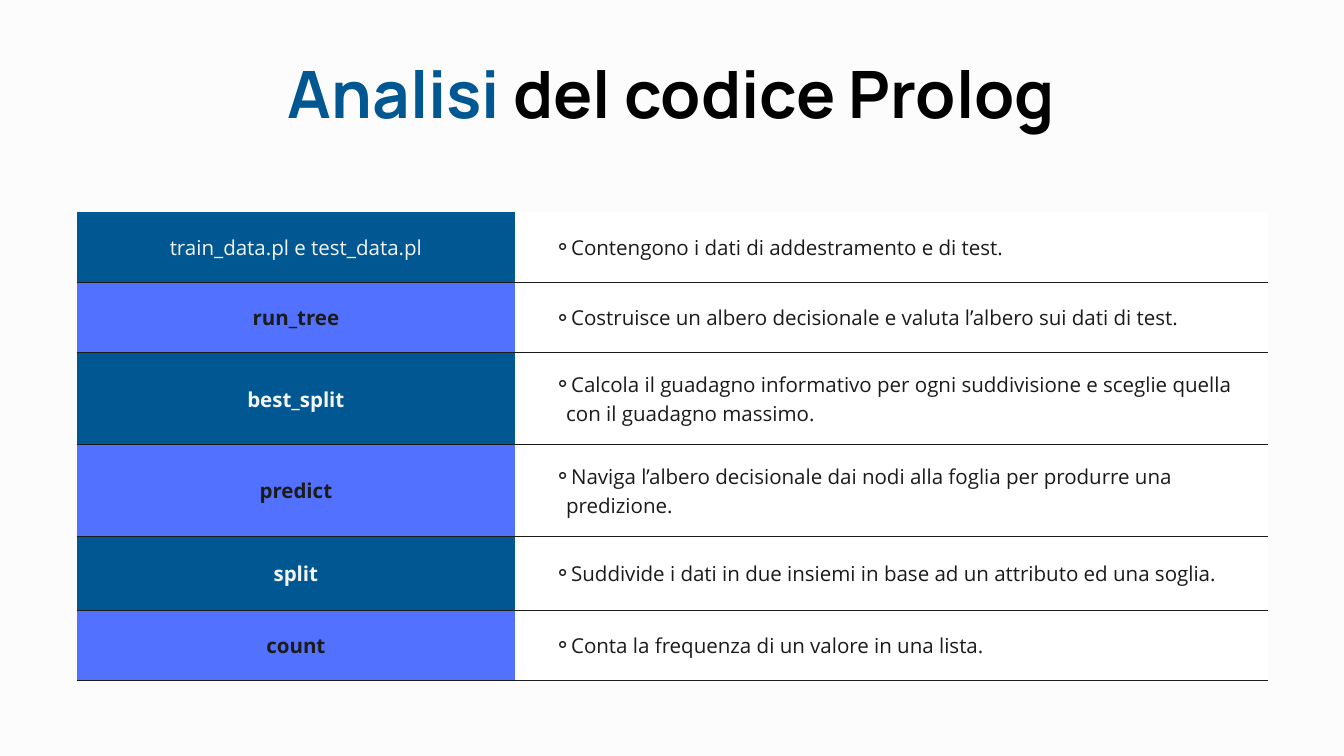
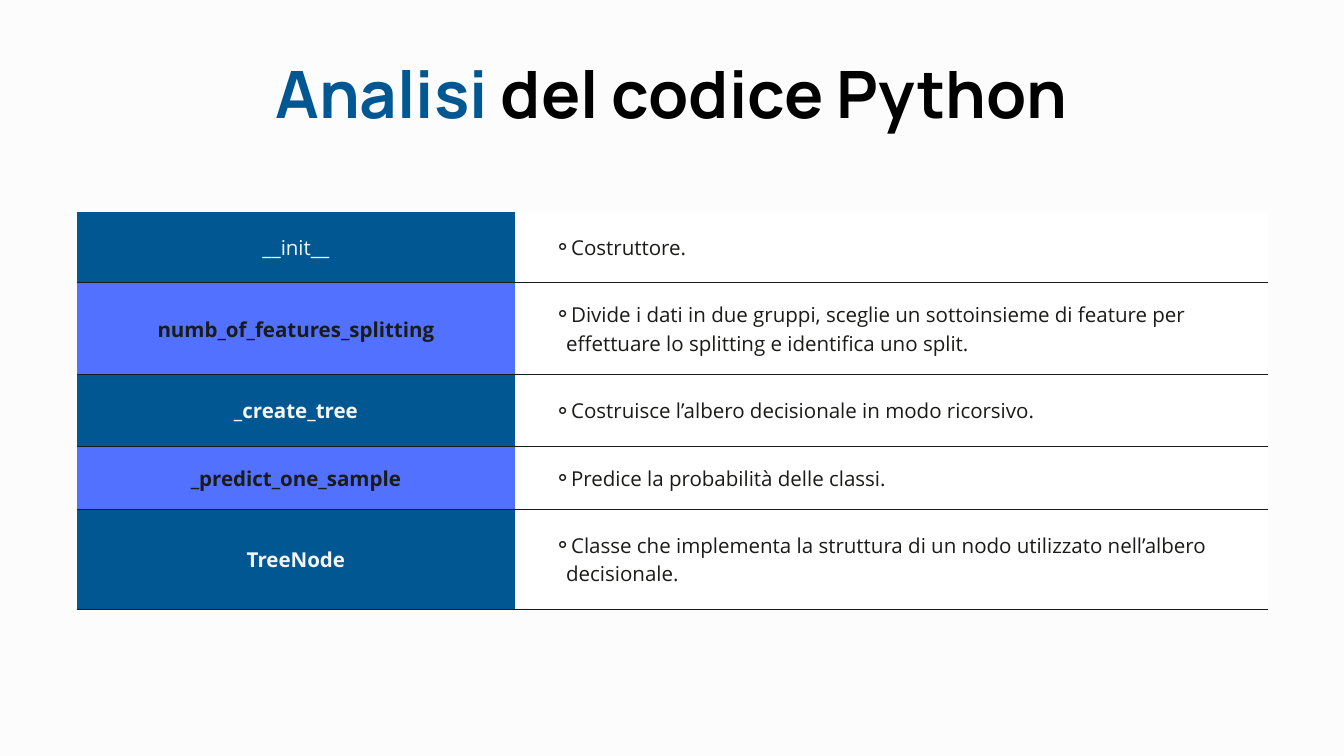
from lxml import etree
from pptx import Presentation
from pptx.dml.color import RGBColor
from pptx.enum import text
from pptx.oxml.ns import qn
from pptx.util import Pt

PAPER = RGBColor(0xFD, 0xFC, 0xFC)
WHITE = RGBColor(0xFF, 0xFF, 0xFF)
BLACK = RGBColor(0, 0, 0)
INK = RGBColor(0x1B, 0x1B, 0x19)
LIGHT = RGBColor(0xF4, 0xF4, 0xF4)
NAVY = RGBColor(0x00, 0x57, 0x92)
VIOLET = RGBColor(0x52, 0x71, 0xFF)
EDGE = RGBColor(0xCC, 0xCC, 0xCC)

TITLE_FONT = {"name": "Manrope", "size": Pt(70), "bold": True}
BODY_FONT = {"name": "Open Sans", "size": Pt(22)}
NAME_COLUMNS = [(NAVY, LIGHT), (VIOLET, INK)]
COLUMN_WIDTHS = (470, 807)
CELL_FORMAT = {
    "margin_left": Pt(15), "margin_top": Pt(15),
    "margin_right": Pt(15), "margin_bottom": Pt(15),
    "vertical_anchor": text.MSO_ANCHOR.MIDDLE,
}
FRAME_FORMAT = {
    "margin_left": 0, "margin_top": 0, "margin_right": 0, "margin_bottom": 0,
    "word_wrap": True, "auto_size": text.MSO_AUTO_SIZE.SHAPE_TO_FIT_TEXT,
}

PROLOG_ROWS = [
    (75.5, "train_data.pl e test_data.pl", "Contengono i dati di addestramento e di test."),
    (75.5, "run_tree", "Costruisce un albero decisionale e valuta l’albero sui dati di test."),
    (98.5, "best_split", "Calcola il guadagno informativo per ogni suddivisione e sceglie "
                         "quella con il guadagno massimo."),
    (98.5, "predict", "Naviga l’albero decisionale dai nodi alla foglia per produrre una "
                      "predizione."),
    (78.5, "split", "Suddivide i dati in due insiemi in base ad un attributo ed una soglia."),
    (75, "count", "Conta la frequenza di un valore in una lista."),
]
PYTHON_ROWS = [
    (76, "__init__", "Costruttore."),
    (98.5, "numb_of_features_splitting", "Divide i dati in due gruppi, sceglie un sottoinsieme "
                                         "di feature per effettuare lo splitting e identifica "
                                         "uno split."),
    (77, "_create_tree", "Costruisce l’albero decisionale in modo ricorsivo."),
    (67.5, "_predict_one_sample", "Predice la probabilità delle classi."),
    (106.5, "TreeNode", "Classe che implementa la struttura di un nodo utilizzato nell’albero "
                        "decisionale."),
]


def apply(target, values):
    for name, value in values.items():
        setattr(target, name, value)


class Deck:
    """Holds the presentation, its style and the slide being filled."""

    def __init__(self):
        self.prs = Presentation()
        self.prs.slide_width, self.prs.slide_height = Pt(1440), Pt(810)
        self.s = None

    def slide(self):
        self.s = self.prs.slides.add_slide(self.prs.slide_layouts[6])
        fill = self.s.background.fill
        fill.solid()
        fill.fore_color.rgb = PAPER

    def run(self, p, words, color, **font):
        r = p.add_run()
        r.text = words
        apply(r.font, font)
        r.font.color.rgb = color

    def title(self, accent, rest):
        tf = self.s.shapes.add_textbox(Pt(141), Pt(70.5), Pt(1157), Pt(78.5)).text_frame
        apply(tf, FRAME_FORMAT)
        p = tf.paragraphs[0]
        apply(p, {"alignment": text.PP_ALIGN.CENTER, "line_spacing": Pt(70)})
        self.run(p, accent, NAVY, **TITLE_FONT)
        self.run(p, rest, BLACK, **TITLE_FONT)

    def borders(self, cell, first):
        """Rule the cell above and below, leaving the table's top edge open."""
        tc_pr = cell._tc.get_or_add_tcPr()
        open_edge, rule = (EDGE, 0), (INK, Pt(0.75))
        edges = {"lnL": open_edge, "lnR": open_edge,
                 "lnT": open_edge if first else rule, "lnB": rule}
        for i, (tag, (color, width)) in enumerate(edges.items()):
            ln = etree.Element(qn(f"a:{tag}"), w=str(int(width)))
            fill = etree.SubElement(ln, qn("a:solidFill"))
            etree.SubElement(fill, qn("a:srgbClr"), val=str(color))
            tc_pr.insert(i, ln)

    def bullet(self, p):
        p.level = 1
        p_pr = p._p.get_or_add_pPr()
        p_pr.set("marL", str(Pt(39.6)))
        p_pr.set("indent", str(Pt(-13)))
        etree.SubElement(p_pr, qn("a:buFont"), typeface="Arial")
        etree.SubElement(p_pr, qn("a:buChar"), char="⚬")

    def cell(self, cell, words, fill, color, first, bold=False, bulleted=False):
        apply(cell, CELL_FORMAT)
        cell.fill.solid()
        cell.fill.fore_color.rgb = fill
        self.borders(cell, first)
        p = cell.text_frame.paragraphs[0]
        p.line_spacing = Pt(30.8)
        if bulleted:
            self.bullet(p)
        else:
            p.alignment = text.PP_ALIGN.CENTER
        self.run(p, words, color, bold=bold, **BODY_FONT)

    def table(self, rows):
        height = sum(row[0] for row in rows)
        table = self.s.shapes.add_table(len(rows), 2, Pt(82), Pt(227),
                                        Pt(sum(COLUMN_WIDTHS)), Pt(height)).table
        apply(table, {"first_row": False, "horz_banding": False})
        for column, width in zip(table.columns, COLUMN_WIDTHS):
            column.width = Pt(width)
        for i, (row_height, name, purpose) in enumerate(rows):
            table.rows[i].height = Pt(row_height)
            fill, color = NAME_COLUMNS[i % 2]
            first = i == 0
            self.cell(table.cell(i, 0), name, fill, color, first, bold=not first)
            self.cell(table.cell(i, 1), purpose, WHITE, INK, first, bulleted=True)


def main():
    deck = Deck()
    for language, rows in (("Prolog", PROLOG_ROWS), ("Python", PYTHON_ROWS)):
        deck.slide()
        deck.table(rows)
        deck.title("Analisi ", f"del codice {language}")
    deck.prs.save("out.pptx")


if __name__ == "__main__":
    main()
